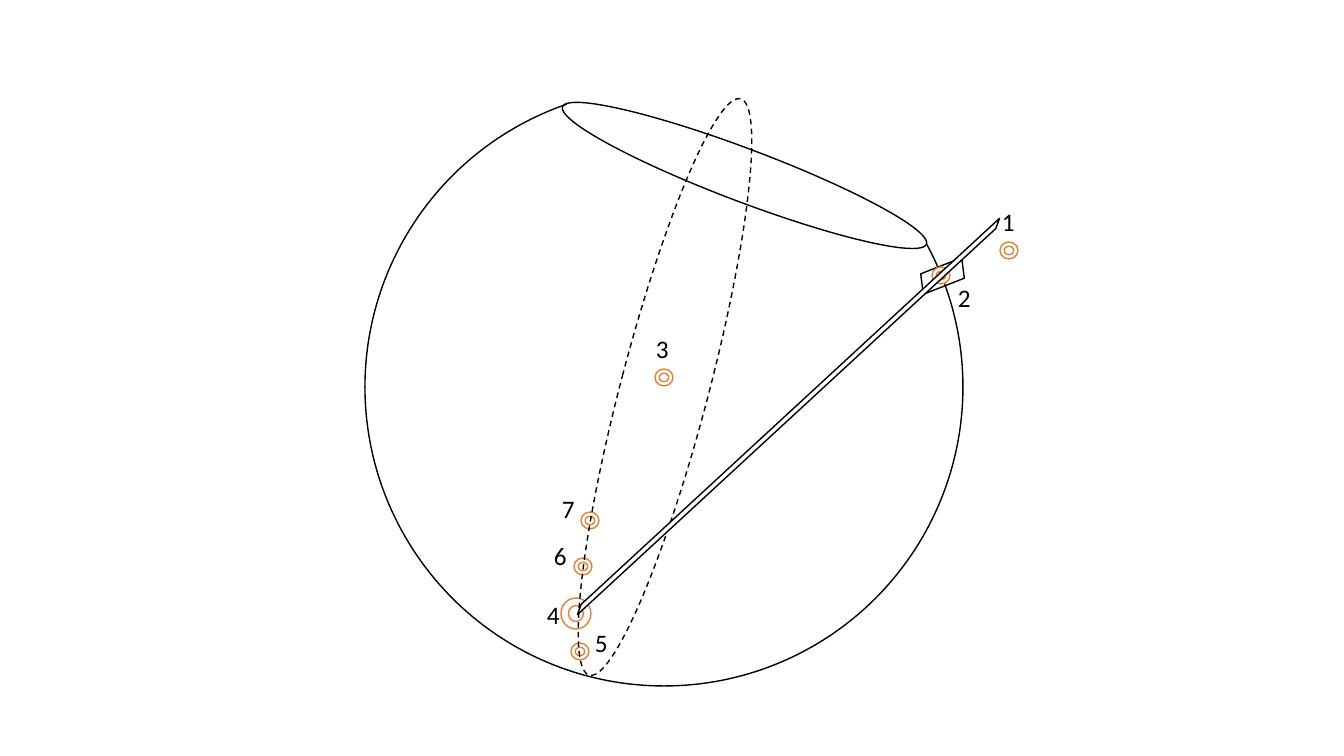
from pptx import Presentation, util as u
from pptx.dml.color import RGBColor
from pptx.enum import dml, shapes, text

PX = 9144000 / 1008  # EMU in one pixel
HUE = {"ink": "000000", "ring": "ED7D31", "paper": "FFFFFF"}
KIND = shapes.MSO_SHAPE

# Parts: kind, box, turn in degrees, adjustments, filled, dashed
SLIDER = (KIND.PARALLELOGRAM, (918, 266, 49, 20), 158.6, [], True, False)
LOOP = (KIND.OVAL, (621, 89, 88, 596), 14.7, [], False, True)
RIM = (KIND.ARC, (550, 149, 389, 53), 20.7, [205.58, 205.52], False, False)
BOWL = (KIND.ARC, (365, 88, 598, 598), 0, [198.87, 150.6], False, False)
ROD = (KIND.PARALLELOGRAM, (499, 414, 579, 5), 317.3, [1.94], True, False)

# Rings by number
RINGS = {
    1: (1000, 242, 18, 17),
    2: (932, 267, 18, 17),
    3: (655, 369, 18, 17),
    4: (561, 598, 30, 31),
    5: (571, 643, 18, 17),
    6: (574, 558, 18, 17),
    7: (581, 512, 18, 17),
}

# Top left corner of each number
LABELS = {
    1: (992, 201),
    2: (948, 277),
    3: (646, 328),
    4: (537, 594),
    5: (585, 622),
    6: (544, 535),
    7: (552, 488),
}
CELL = (33, 40)

deck = Presentation()
deck.slide_width, deck.slide_height = round(1344 * PX), round(756 * PX)
page = deck.slides.add_slide(deck.slide_layouts[6])


def emu(box):
    return [round(n * PX) for n in box]


def tint(name):
    return RGBColor.from_string(HUE[name])


def draw(kind, box, turn=0, adj=(), filled=True, dashed=False, hue="ink"):
    part = page.shapes.add_shape(kind, *emu(box))
    part.shadow.inherit = False
    part.rotation = turn
    for i, val in enumerate(adj):
        part.adjustments[i] = val
    if filled:
        part.fill.solid()
        part.fill.fore_color.rgb = tint("paper")
    else:
        part.fill.background()
    part.line.color.rgb = tint(hue)
    part.line.width = u.Pt(1)
    if dashed:
        part.line.dash_style = dml.MSO_LINE.DASH


def ring(num):
    draw(KIND.DONUT, RINGS[num], hue="ring")


def label(num):
    frame = page.shapes.add_textbox(*emu(LABELS[num] + CELL)).text_frame
    frame.word_wrap = False
    frame.auto_size = text.MSO_AUTO_SIZE.SHAPE_TO_FIT_TEXT
    run = frame.paragraphs[0].add_run()
    run.text = str(num)
    run.font.name = "Calibri"
    run.font.size = u.Pt(18)
    run.font.color.rgb = tint("ink")


# Rings and slider behind the outlines
for num in (6, 7, 3, 5, 4):
    ring(num)
draw(*SLIDER)
ring(1)

# Bowl outlines
for part in (LOOP, RIM, BOWL):
    draw(*part)

# Numbers
for num in LABELS:
    label(num)

# Pivot ring and rod in front
ring(2)
draw(*ROD)

deck.save("out.pptx")
